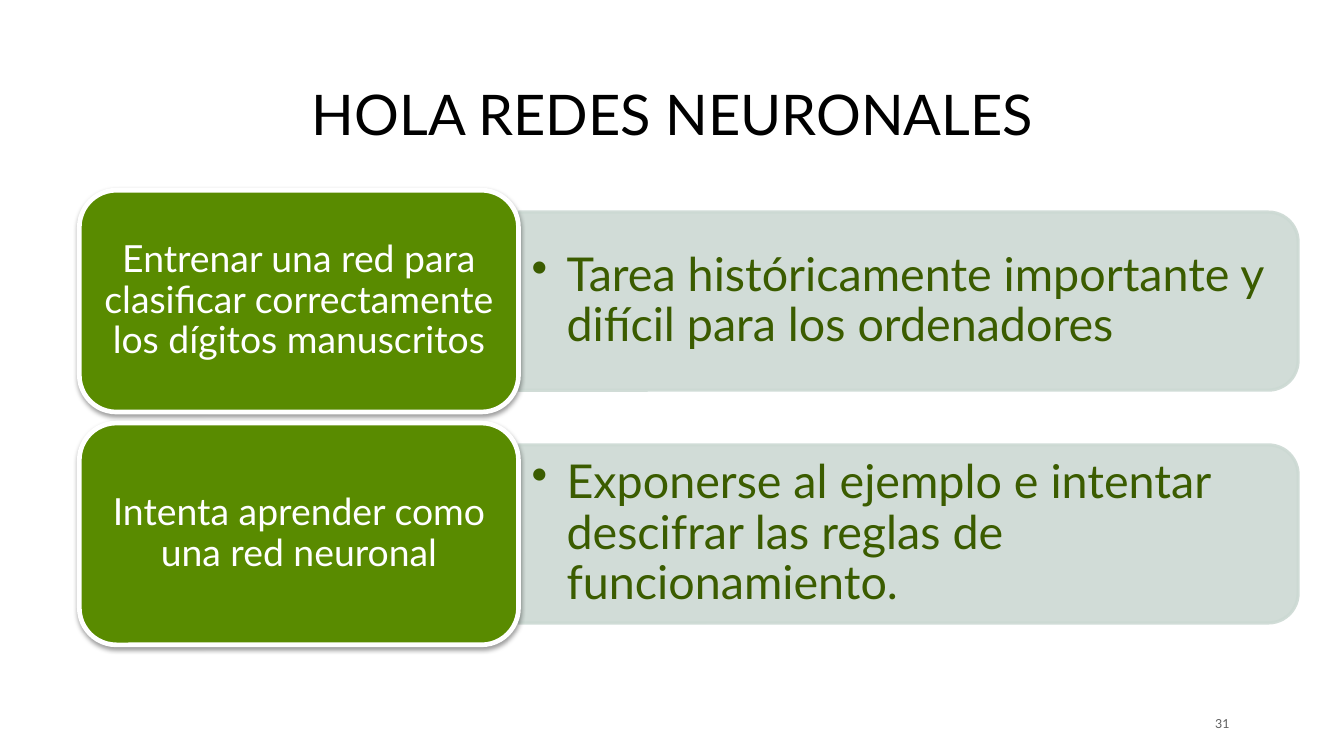
from dataclasses import dataclass

from lxml.etree import SubElement
from pptx import Presentation
from pptx.dml.color import RGBColor
from pptx.enum.shapes import MSO_SHAPE as Shape
from pptx.enum.text import MSO_ANCHOR as Anchor, MSO_AUTO_SIZE as AutoSize, PP_ALIGN as Align
from pptx.oxml.ns import qn
from pptx.util import Cm, Pt

COLORS = {
    "title": "000000",
    "label": "598B00",
    "label_text": "FFFFFF",
    "panel": "CCD9D3",
    "panel_text": "3B5C00",
    "number": "5E5E5E",
    "shadow": "000000",
}
FONT = "Lato"

# Row geometry in centimetres
FIRST_CENTER, ROW_STEP = 6.83, 5.28
LABEL_LEFT, LABEL_WIDTH, LABEL_HEIGHT = 1.8, 9.96, 5.03
PANEL_LEFT, PANEL_WIDTH, PANEL_HEIGHT = LABEL_LEFT + LABEL_WIDTH, 17.68, 4.04
TEXT_WIDTH, TEXT_HEIGHT = 17.5, 3.63


@dataclass
class Row:
    label: str
    detail: str


ROWS = [
    Row("Entrenar una red para clasificar correctamente los dígitos manuscritos",
        "Tarea históricamente importante y difícil para los ordenadores"),
    Row("Intenta aprender como una red neuronal",
        "Exponerse al ejemplo e intentar descifrar las reglas de funcionamiento."),
]


def rgb(name: str) -> RGBColor:
    return RGBColor.from_string(COLORS[name])


def write(box, text: str, size: float, color: str, align, anchor=Anchor.MIDDLE):
    """Put one styled paragraph in a shape and return the paragraph."""
    frame = box.text_frame
    frame.word_wrap = True
    frame.auto_size = AutoSize.NONE
    frame.vertical_anchor = anchor
    para = frame.paragraphs[0]
    para.text = text
    para.alignment = align
    para.line_spacing = 0.9
    para.font.name = FONT
    para.font.size = Pt(size)
    para.font.bold = False
    para.font.color.rgb = rgb(color)
    return para


def set_insets(box, side: float, edge: float) -> None:
    frame = box.text_frame
    frame.margin_left = frame.margin_right = Cm(side)
    frame.margin_top = frame.margin_bottom = Cm(edge)


def add_bullet(para) -> None:
    props = para._p.get_or_add_pPr()
    props.set("marL", str(Cm(0.79)))
    props.set("indent", str(-Cm(0.79)))
    bullet = SubElement(props, qn("a:buChar"), char="•")
    props.remove(bullet)
    props.insert_element_before(bullet, "a:tabLst", "a:defRPr", "a:extLst")


def set_opacity(shape, percent: int) -> None:
    for color in shape._element.spPr.iter(qn("a:srgbClr")):
        SubElement(color, qn("a:alpha"), val=str(percent * 1000))


def add_shadow(shape) -> None:
    effects = shape._element.spPr.find(qn("a:effectLst"))
    shadow = SubElement(effects, qn("a:outerShdw"), blurRad=str(Pt(3.1)), dist=str(Pt(1.6)),
                        dir="5400000", rotWithShape="0")
    color = SubElement(shadow, qn("a:srgbClr"), val=COLORS["shadow"])
    SubElement(color, qn("a:alpha"), val="38000")


def paint(shape, fill: str, line: str, width: float) -> None:
    shape.shadow.inherit = False
    shape.fill.solid()
    shape.fill.fore_color.rgb = rgb(fill)
    shape.line.color.rgb = rgb(line)
    shape.line.width = Pt(width)


def draw_panel(page, center: float, text: str) -> None:
    # A quarter turn puts the two rounded corners on the right
    middle = PANEL_LEFT + PANEL_WIDTH / 2
    panel = page.shapes.add_shape(
        Shape.ROUND_2_SAME_RECTANGLE, Cm(middle - PANEL_HEIGHT / 2),
        Cm(center - PANEL_WIDTH / 2), Cm(PANEL_HEIGHT), Cm(PANEL_WIDTH))
    panel.rotation = 90
    paint(panel, "panel", "panel", 2)
    set_opacity(panel, 90)

    box = page.shapes.add_textbox(Cm(PANEL_LEFT), Cm(center - TEXT_HEIGHT / 2),
                                  Cm(TEXT_WIDTH), Cm(TEXT_HEIGHT))
    set_insets(box, 0.3, 0.15)
    para = write(box, text, 30, "panel_text", Align.LEFT)
    add_bullet(para)


def draw_label(page, center: float, text: str) -> None:
    label = page.shapes.add_shape(
        Shape.ROUNDED_RECTANGLE, Cm(LABEL_LEFT), Cm(center - LABEL_HEIGHT / 2),
        Cm(LABEL_WIDTH), Cm(LABEL_HEIGHT))
    paint(label, "label", "label_text", 3)
    add_shadow(label)
    write(label, text, 24, "label_text", Align.CENTER)


def main() -> None:
    deck = Presentation()
    deck.slide_width = Cm(30.48)
    deck.slide_height = deck.slide_width * 9 // 16
    page = deck.slides.add_slide(deck.slide_layouts[5])

    # Title
    title = page.shapes.title
    title.left, title.top, title.width, title.height = Cm(1.4), Cm(1.83), Cm(27.71), Cm(1.65)
    write(title, "HOLA REDES NEURONALES", 36, "title", Align.CENTER, Anchor.BOTTOM)

    # Rows of label and detail panel
    for index, row in enumerate(ROWS):
        center = FIRST_CENTER + index * ROW_STEP
        draw_panel(page, center, row.detail)
        draw_label(page, center, row.label)

    # Page number
    number = page.shapes.add_textbox(Cm(27.13), Cm(16.21), Cm(0.76), Cm(0.46))
    set_insets(number, 0, 0)
    write(number, "31", 8, "number", Align.RIGHT)

    deck.save("out.pptx")


if __name__ == "__main__":
    main()
